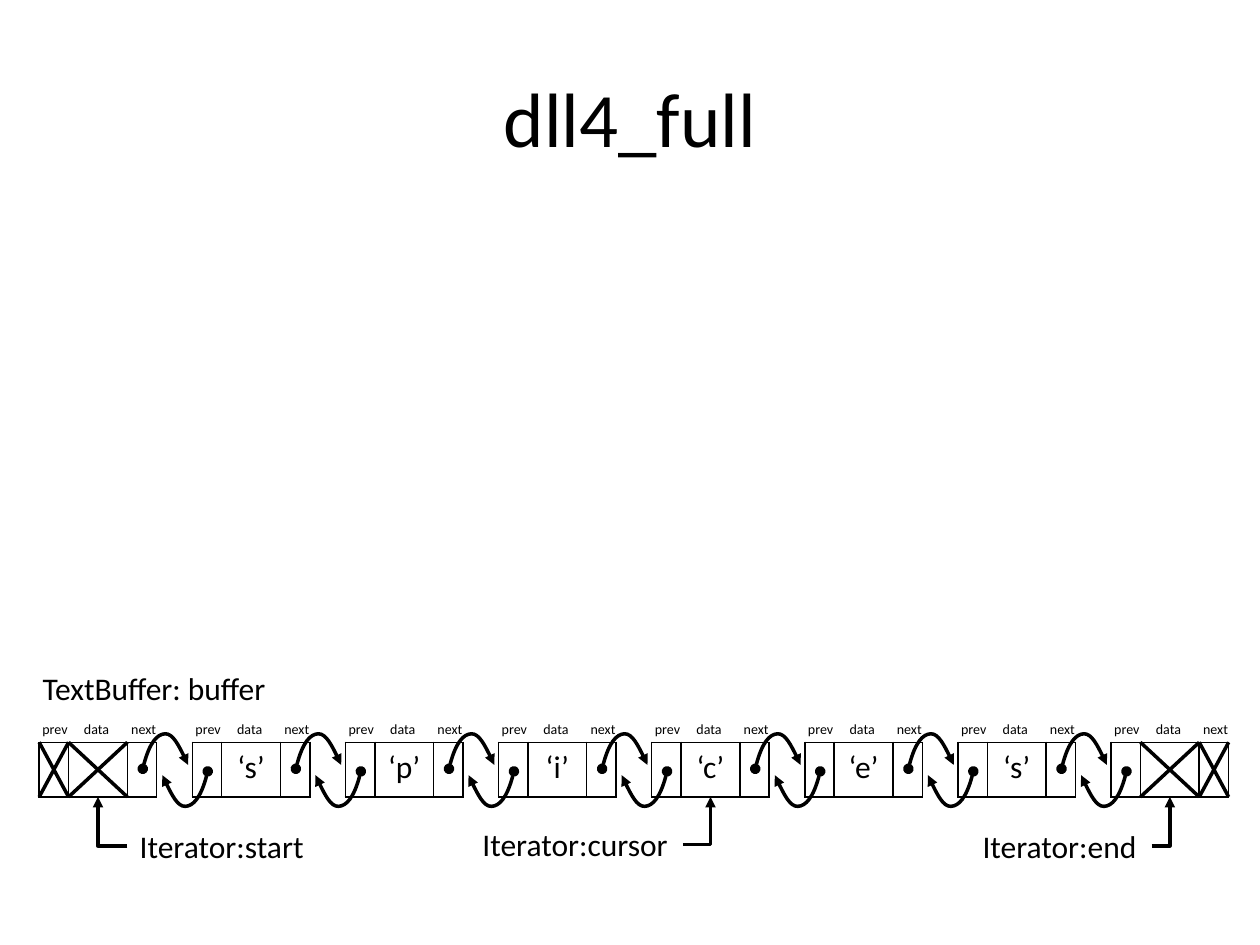
from itertools import accumulate

from lxml import etree
from pptx import Presentation
from pptx.dml.color import RGBColor
from pptx.enum.shapes import MSO_CONNECTOR
from pptx.enum.text import MSO_ANCHOR, MSO_AUTO_SIZE, PP_ALIGN
from pptx.oxml.ns import qn
from pptx.util import Pt

STRAIGHT, ELBOW = MSO_CONNECTOR.STRAIGHT, MSO_CONNECTOR.ELBOW
CENTER, LEFT = PP_ALIGN.CENTER, PP_ALIGN.LEFT
MIDDLE, TOP = MSO_ANCHOR.MIDDLE, MSO_ANCHOR.TOP
COLORS = {"ink": "000000", "paper": "FFFFFF"}
FONT = "Calibri"

# Linked list: one node per entry; sentinels at both ends hold no data
NODES = ["", "‘s’", "‘p’", "‘i’", "‘c’", "‘e’", "‘s’", ""]
LIST_LEFT, LIST_TOP, PITCH = 22.4, 424.2, 87.5
CELL_WIDTHS, NODE_HEIGHT = [16.8, 33.6, 16.8], 31.2
CELL_EDGES = [0, *accumulate(CELL_WIDTHS)]
FIELD_LABELS = {"prev": -5.3, "data": 18.5, "next": 45.5}
# Bezier points of a "next" pointer, from its dot; "prev" is its half turn
POINTER = [(0, 0), (3.4, -14.4), (8.2, -19.8), (12.8, -20),
           (17.3, -20.2), (23.8, -7.2), (25.9, -2.2)]


def rgb(name):
    return RGBColor.from_string(COLORS[name])


def style_paragraph(para, size, align=LEFT):
    para.alignment = align
    para.font.name = FONT
    para.font.size = Pt(size)
    para.font.color.rgb = rgb("ink")


def add_text(page, text, left, top, width, height, size,
             align=LEFT, anchor=TOP, wrap=False):
    box = page.shapes.add_textbox(Pt(left), Pt(top), Pt(width), Pt(height))
    frame = box.text_frame
    frame.word_wrap = wrap
    frame.auto_size = MSO_AUTO_SIZE.NONE if wrap else MSO_AUTO_SIZE.SHAPE_TO_FIT_TEXT
    frame.vertical_anchor = anchor
    para = frame.paragraphs[0]
    para.text = text
    style_paragraph(para, size, align)


def style_line(shape, **ends):
    """Draw a 2 pt line; ends maps headEnd/tailEnd to arrowhead types."""
    shape.line.color.rgb = rgb("ink")
    shape.line.width = Pt(2)
    outline = shape.line._get_or_add_ln()
    for tag, kind in ends.items():
        etree.SubElement(outline, qn(f"a:{tag}"), type=kind)


def add_connector(page, kind, start, end, **ends):
    connector = page.shapes.add_connector(kind, *map(Pt, start + end))
    style_line(connector, **ends)
    properties = connector._element.spPr
    etree.SubElement(properties, qn("a:effectLst"))
    if kind == ELBOW:  # a single bend
        properties.find(qn("a:prstGeom")).set("prst", "bentConnector2")


def add_pointer(page, left, top, turn):
    """Curved arrow from a dot at left, top; turn is 1 (next) or -1 (prev)."""
    points = [(Pt(left + turn * x), Pt(top + turn * y)) for x, y in POINTER]
    builder = page.shapes.build_freeform(*points[0])
    builder.add_line_segments(points[1:], close=False)
    curve = builder.convert_to_shape()
    curve.shadow.inherit = False
    curve.fill.background()
    style_line(curve, headEnd="oval", tailEnd="triangle")
    # Every three line segments become one Bezier segment
    outline = next(curve._element.iter(qn("a:path")))
    segments = outline.findall(qn("a:lnTo"))
    for first in range(0, len(segments), 3):
        bezier = etree.SubElement(outline, qn("a:cubicBezTo"))
        for segment in segments[first:first + 3]:
            bezier.append(segment[0])
            outline.remove(segment)


def style_cell(cell, text):
    cell.margin_left = cell.margin_right = 0
    properties = cell._tc.get_or_add_tcPr()
    for side in "LRTB":
        border = etree.SubElement(properties, qn(f"a:ln{side}"), w=str(Pt(1)))
        fill = etree.SubElement(border, qn("a:solidFill"))
        etree.SubElement(fill, qn("a:srgbClr"), val=COLORS["ink"])
    cell.fill.solid()
    cell.fill.fore_color.rgb = rgb("paper")
    para = cell.text_frame.paragraphs[0]
    para.text = text
    style_paragraph(para, 18, CENTER)


def add_node(page, left, top, text):
    table = page.shapes.add_table(1, 3, Pt(left), Pt(top), Pt(CELL_EDGES[-1]),
                                  Pt(NODE_HEIGHT)).table
    table.first_row = table.horz_banding = False
    for column, width, value in zip(table.columns, CELL_WIDTHS, ["", text, ""]):
        column.width = Pt(width)
    for cell, value in zip(table.rows[0].cells, ["", text, ""]):
        style_cell(cell, value)
    for label, offset in FIELD_LABELS.items():
        add_text(page, label, left + offset, top - 16, 29.5, 17.3, 8)


def cross_cell(page, left, top, index):
    """Cross out one cell of the node at left, top."""
    start, end = left + CELL_EDGES[index], left + CELL_EDGES[index + 1]
    bottom = top + NODE_HEIGHT
    add_connector(page, STRAIGHT, (start, top), (end, bottom))
    add_connector(page, STRAIGHT, (start, bottom), (end, top))


def add_list(page, left, top):
    last = len(NODES) - 1
    for index, text in enumerate(NODES):
        node_left = left + index * PITCH
        add_node(page, node_left, top, text)
        if index > 0:
            add_pointer(page, node_left + 8.8, top + 16.6, -1)
            add_pointer(page, node_left - PITCH + 59.2, top + 15.1, 1)
    # Unused fields of the sentinels
    for node, cell in [(0, 0), (0, 1), (last, 1), (last, 2)]:
        cross_cell(page, left + node * PITCH, top, cell)


def add_iterator(page, name, node, left, top, width):
    """Label with a bent arrow up to the data cell of a node."""
    add_text(page, name, left, top, width, 29, 18)
    tip = LIST_LEFT + node * PITCH + CELL_EDGES[-1] / 2
    edge = left if tip < left else left + width
    add_connector(page, ELBOW, (edge, top + 14.5),
                  (tip, LIST_TOP + NODE_HEIGHT), tailEnd="triangle")


def main():
    deck = Presentation()
    deck.slide_width, deck.slide_height = Pt(720), Pt(540)
    page = deck.slides.add_slide(deck.slide_layouts[6])

    # Title and list name
    add_text(page, "dll4_full", 36, 21.6, 648, 90, 44, CENTER, MIDDLE, wrap=True)
    add_text(page, "TextBuffer: buffer", 17.3, 378.7, 360, 29, 18, wrap=True)

    add_list(page, LIST_LEFT, LIST_TOP)

    # Iterators
    add_iterator(page, "Iterator:start", 0, 72.8, 468.9, 113)
    add_iterator(page, "Iterator:cursor", 4, 268.6, 468, 121.7)
    add_iterator(page, "Iterator:end", 7, 554.4, 468.9, 103.7)

    deck.save("out.pptx")


if __name__ == "__main__":
    main()
